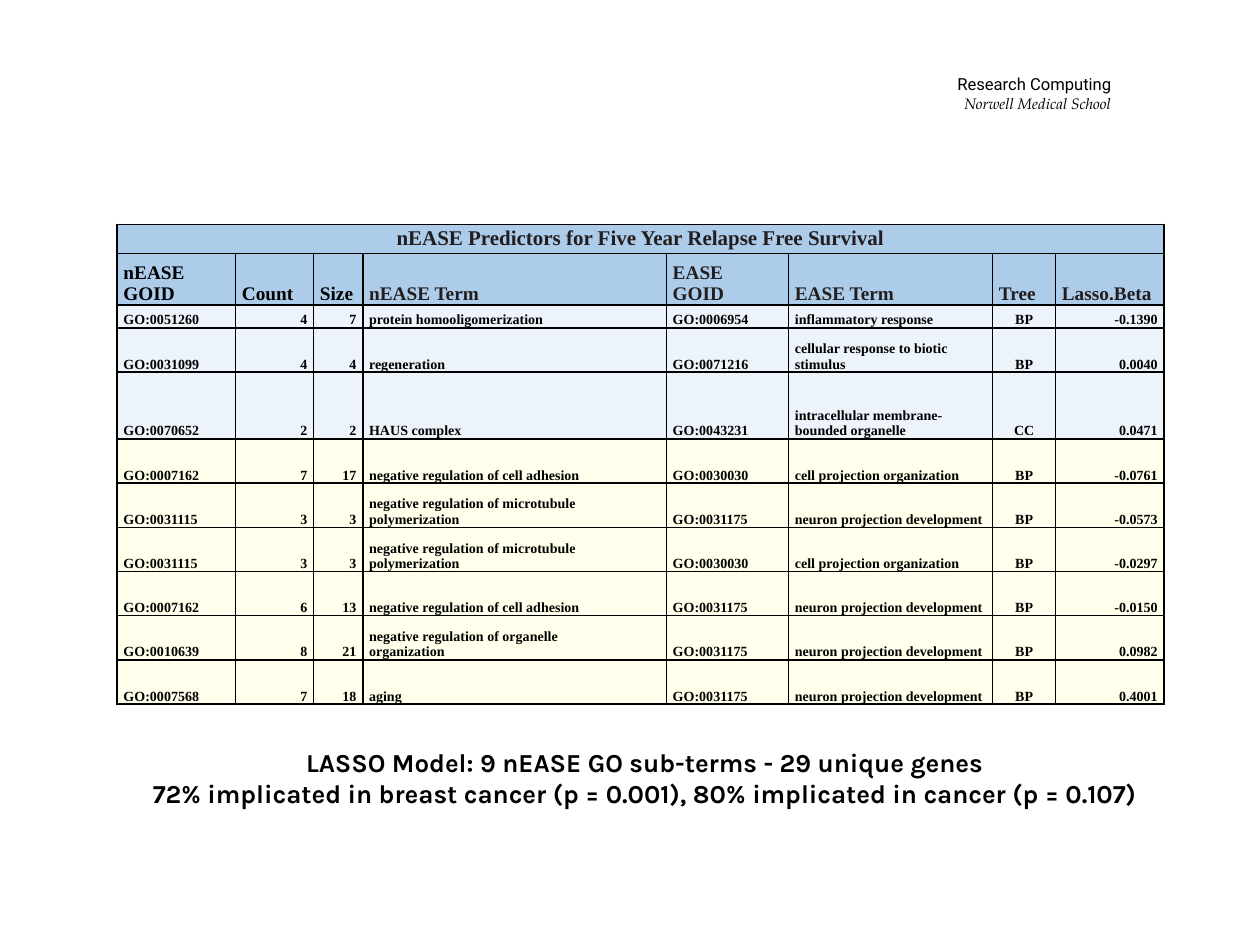
from lxml.etree import SubElement
from pptx import Presentation
from pptx.dml.color import RGBColor
from pptx.enum.text import MSO_ANCHOR as ANCHOR, PP_ALIGN as ALIGN
from pptx.oxml import parse_xml
from pptx.oxml.ns import nsdecls, qn
from pptx.util import Inches, Pt

prs = Presentation()
prs.slide_width, prs.slide_height = Inches(10), Inches(7.5)

# The slide is a grid of 100 columns by 75 rows
COL, ROW = prs.slide_width / 100, prs.slide_height / 75

COLORS = {"black": "000000", "ink": "221E1F", "head": "5B9BD5",
          "blue": "D4E2F4", "yellow": "FFFF9F"}
OPACITY = {"head": 50, "blue": 40, "yellow": 20}

L, C, R = ALIGN.LEFT, ALIGN.CENTER, ALIGN.RIGHT
COL_WIDTHS = [9.4, 6.2, 3.9, 24.1, 9.7, 16.2, 5, 8.6]
COL_ALIGNS = [L, R, R, L, L, L, C, R]
ROW_HEIGHTS = [2.3, 4.1, 1.8, 3.5, 5.3] + [3.5] * 6
BLUE_ROWS = 3

TITLE = "nEASE Predictors for Five Year Relapse Free Survival"
HEADINGS = ["nEASE GOID", "Count", "Size", "nEASE Term", "EASE\nGOID",
            "EASE Term", "Tree", "Lasso.Beta"]

ADHESION = "negative regulation of cell adhesion"
MICROTUBULE = "negative regulation of microtubule\npolymerization"
NEURON = ("GO:0031175", "neuron projection development", "BP")
PROJECTION = ("GO:0030030", "cell projection organization", "BP")
PREDICTORS = [
    ("GO:0051260", "4", "7", "protein homooligomerization",
     "GO:0006954", "inflammatory response", "BP", "-0.1390"),
    ("GO:0031099", "4", "4", "regeneration",
     "GO:0071216", "cellular response to biotic stimulus", "BP", "0.0040"),
    ("GO:0070652", "2", "2", "HAUS complex",
     "GO:0043231", "intracellular membrane-bounded organelle", "CC", "0.0471"),
    ("GO:0007162", "7", "17", ADHESION, *PROJECTION, "-0.0761"),
    ("GO:0031115", "3", "3", MICROTUBULE, *NEURON, "-0.0573"),
    ("GO:0031115", "3", "3", MICROTUBULE, *PROJECTION, "-0.0297"),
    ("GO:0007162", "6", "13", ADHESION, *NEURON, "-0.0150"),
    ("GO:0010639", "8", "21", "negative regulation of organelle\norganization",
     *NEURON, "0.0982"),
    ("GO:0007568", "7", "18", "aging", *NEURON, "0.4001"),
]


def place(box):
    """Turn a box in grid units into slide lengths."""
    x, y, w, h = box
    return int(x * COL), int(y * ROW), int(w * COL), int(h * ROW)


def style(p, font, size, color="black", align=L, bold=False, italic=False):
    p.alignment = align
    f = p.font
    f.name, f.size, f.bold, f.italic = font, Pt(size), bold, italic
    f.color.rgb = RGBColor.from_string(COLORS[color])


def add_text(s, box, text, anchor):
    tf = s.shapes.add_textbox(*place(box)).text_frame
    tf.word_wrap = True
    tf.vertical_anchor = anchor
    tf.text = text
    return tf


def fill_cell(cell, fill):
    """Give a cell a translucent fill and thin black borders."""
    cell.fill.solid()
    cell.fill.fore_color.rgb = RGBColor.from_string(COLORS[fill])
    tcPr = cell._tc.get_or_add_tcPr()
    color = tcPr.find(qn("a:solidFill"))[0]
    SubElement(color, qn("a:alpha"), val=str(OPACITY[fill] * 1000))
    for i, side in enumerate(("lnL", "lnR", "lnT", "lnB")):
        tcPr.insert(i, parse_xml(
            f'<a:{side} {nsdecls("a")} w="{Pt(1)}"><a:solidFill>'
            f'<a:srgbClr val="{COLORS["black"]}"/></a:solidFill></a:{side}>'))


def write_cell(cell, text, fill, size, color, align, anchor=ANCHOR.BOTTOM):
    cell.text = text
    cell.margin_left = cell.margin_right = int(COL / 2)
    cell.margin_top = cell.margin_bottom = 0
    cell.vertical_anchor = anchor
    for p in cell.text_frame.paragraphs:
        style(p, "Times New Roman", size, color, align, bold=True)
    fill_cell(cell, fill)


def add_department(s, box):
    tf = add_text(s, box, "Research Computing\nNorwell Medical School", ANCHOR.MIDDLE)
    tf.margin_left = tf.margin_right = Inches(0.08)
    tf.margin_top = tf.margin_bottom = Inches(0.04)
    unit, school = tf.paragraphs
    style(unit, "Roboto", 9.5, align=R)
    style(school, "TeX Gyre Pagella", 8.7, align=R, italic=True)


def add_predictors(s, box):
    table = s.shapes.add_table(len(ROW_HEIGHTS), len(COL_WIDTHS), *place(box)).table
    for column, w in zip(table.columns, COL_WIDTHS):
        column.width = int(box[2] * COL * w / sum(COL_WIDTHS))
    for row, h in zip(table.rows, ROW_HEIGHTS):
        row.height = int(box[3] * ROW * h / sum(ROW_HEIGHTS))

    # Title across all columns
    last = len(COL_WIDTHS) - 1
    for j in range(last + 1):
        write_cell(table.cell(0, j), "" if j else TITLE, "head", 12, "ink", C,
                   ANCHOR.MIDDLE)
    table.cell(0, 0).merge(table.cell(0, last))

    # Column headings: the first three are black
    for j, text in enumerate(HEADINGS):
        write_cell(table.cell(1, j), text, "head", 11, "black" if j < 3 else "ink", L)

    # Predictors
    for i, values in enumerate(PREDICTORS):
        fill = "blue" if i < BLUE_ROWS else "yellow"
        for j, (text, align) in enumerate(zip(values, COL_ALIGNS)):
            write_cell(table.cell(i + 2, j), text, fill, 8, "black", align)


def add_summary(s, box):
    tf = add_text(s, box, "LASSO Model: 9 nEASE GO sub-terms - 29 unique genes\n"
                  "72% implicated in breast cancer (p = 0.001), "
                  "80% implicated in cancer (p = 0.107)", ANCHOR.TOP)
    for p in tf.paragraphs:
        style(p, "Karla", 14.8, align=C, bold=True)


s = prs.slides.add_slide(prs.slide_layouts[6])
add_department(s, (63.7, 4.1, 25.3, 6.6))
add_predictors(s, (9.3, 17.8, 83.1, 38.1))
add_summary(s, (7, 58.8, 88.3, 6))
prs.save("out.pptx")
